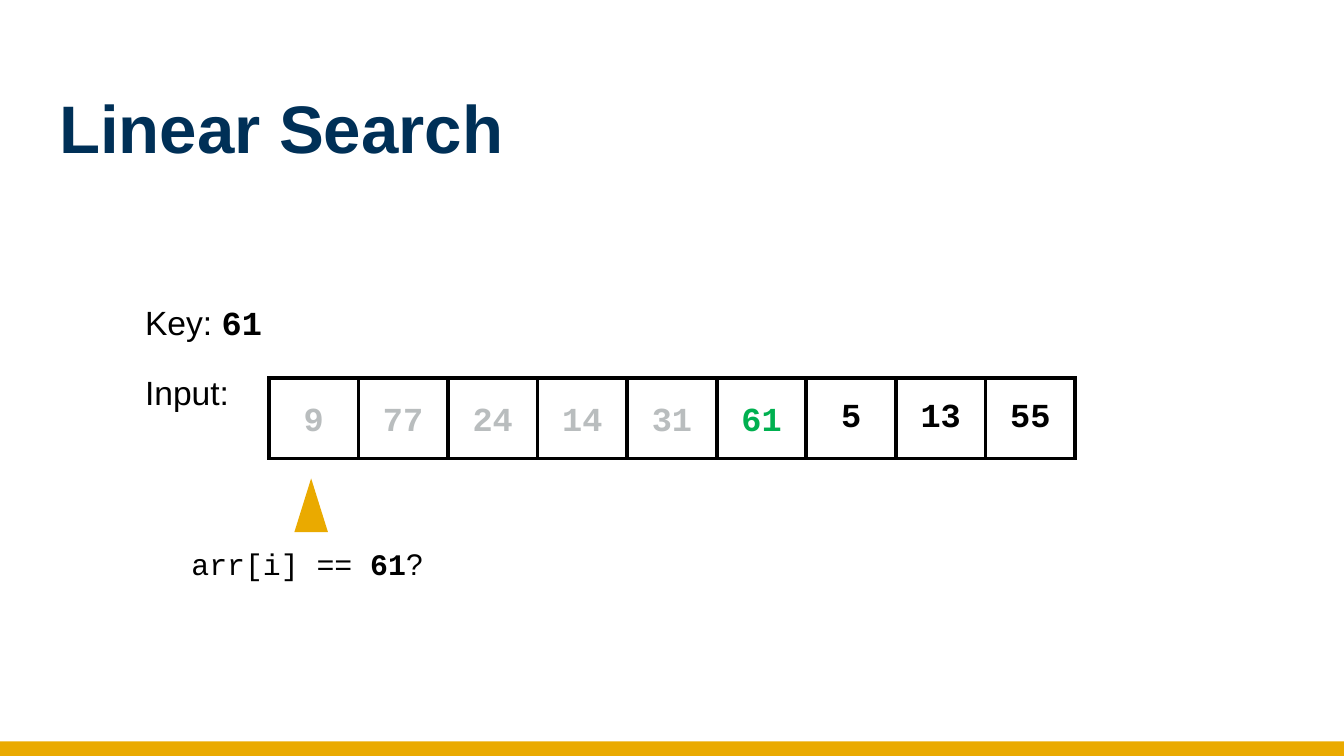
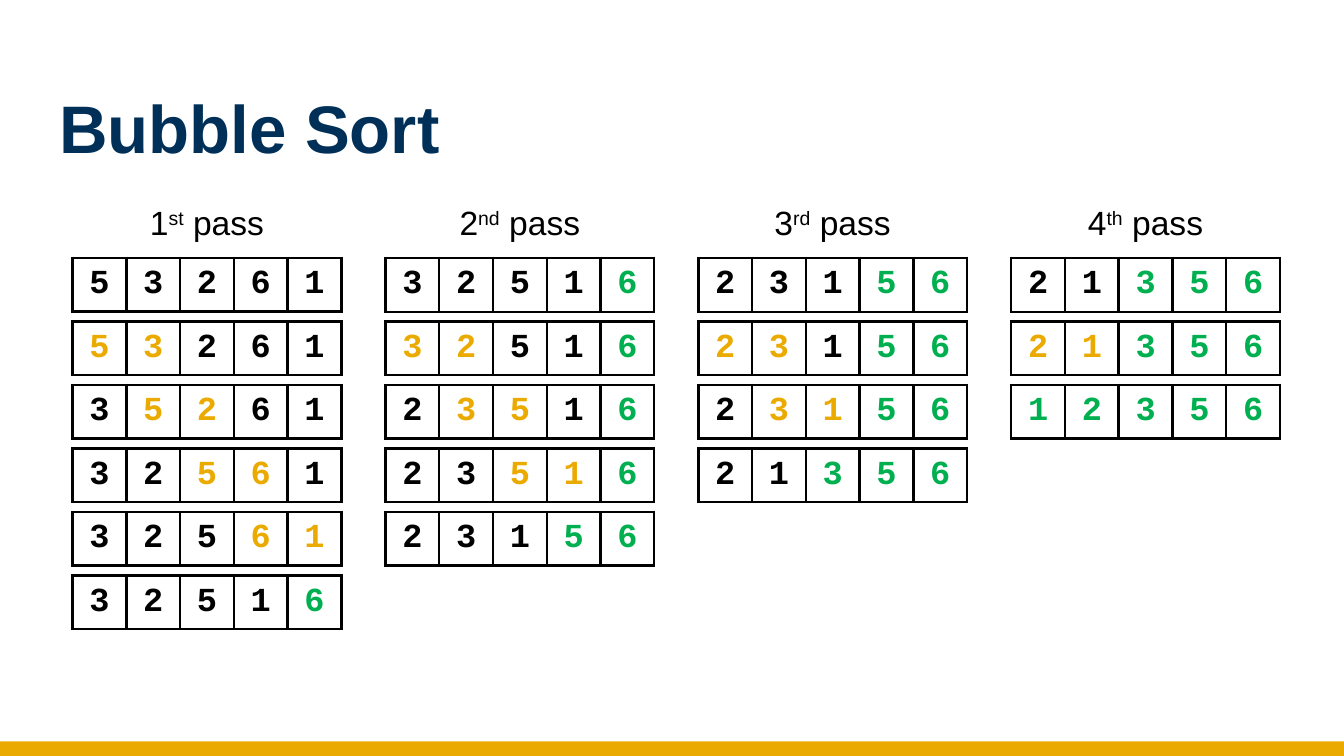
"""Build two slides on searching and sorting arrays."""
from lxml import etree
from pptx import Presentation
from pptx.dml.color import RGBColor
from pptx.enum import shapes, text
from pptx.oxml import ns
from pptx.util import Pt

NAVY, GOLD, GREEN = "003057", "EAAA00", "00B050"
BLACK, WHITE, GREY = "000000", "FFFFFF", "B9BDBE"
SANS, MONO = "Arial", "Courier New"
WIDTH, HEIGHT = 720, 405
MARKS = {".": BLACK, "a": GOLD, "s": GREEN}

NUMBERS = ["9", "77", "24", "14", "31", "61", "5", "13", "55"]
KEY = "61"
PASSES = [
    ("1", "st", [("53261", "....."), ("53261", "aa..."), ("35261", ".aa.."),
                 ("32561", "..aa."), ("32561", "...aa"), ("32516", "....s")]),
    ("2", "nd", [("32516", "....s"), ("32516", "aa..s"), ("23516", ".aa.s"),
                 ("23516", "..aas"), ("23156", "...ss")]),
    ("3", "rd", [("23156", "...ss"), ("23156", "aa.ss"), ("23156", ".aass"),
                 ("21356", "..sss")]),
    ("4", "th", [("21356", "..sss"), ("21356", "aasss"), ("12356", "sssss")]),
]


def rgb(value):
    """Turn a hex string into a colour."""
    return RGBColor.from_string(value)


def style(r, size=18, font=SANS, color=BLACK, bold=False, raised=False):
    """Format one run."""
    r.font.size, r.font.name, r.font.bold = Pt(size), font, bold
    r.font.color.rgb = rgb(color)
    if raised:
        r._r.get_or_add_rPr().set("baseline", "30000")


def add_text(s, box, runs, centred=False, side=7.2):
    """Add a one-line text box from (text, format) runs."""
    tf = s.shapes.add_textbox(*map(Pt, box)).text_frame
    tf.word_wrap = True
    tf.margin_left = tf.margin_right = Pt(side)
    p = tf.paragraphs[0]
    p.alignment = text.PP_ALIGN.CENTER if centred else text.PP_ALIGN.LEFT
    for words, look in runs:
        r = p.add_run()
        r.text = words
        style(r, **look)


def add_block(s, kind, box, color):
    """Add a plain filled shape."""
    sp = s.shapes.add_shape(kind, *map(Pt, box))
    sp.shadow.inherit = False
    sp.fill.solid()
    sp.fill.fore_color.rgb = rgb(color)
    sp.line.fill.background()
    return sp


def add_borders(cell, width):
    """Draw black lines on all four sides of a cell."""
    tcPr = cell._tc.get_or_add_tcPr()
    for i, side in enumerate(("lnL", "lnR", "lnT", "lnB")):
        ln = etree.Element(ns.qn(f"a:{side}"), w=str(Pt(width)))
        fill = etree.SubElement(ln, ns.qn("a:solidFill"))
        etree.SubElement(fill, ns.qn("a:srgbClr"), val=BLACK)
        tcPr.insert(i, ln)


def add_array(s, left, top, cell_w, cell_h, values, colors, border):
    """Draw an array as a table with one row."""
    n = len(values)
    box = (left, top, n * cell_w, cell_h)
    table = s.shapes.add_table(1, n, *map(Pt, box)).table
    table.first_row = table.horz_banding = False
    for i, (value, color) in enumerate(zip(values, colors)):
        table.columns[i].width = Pt(cell_w)
        cell = table.cell(0, i)
        cell.fill.solid()
        cell.fill.fore_color.rgb = rgb(WHITE)
        cell.vertical_anchor = text.MSO_ANCHOR.MIDDLE
        add_borders(cell, border)
        cell.text_frame.text = value
        p = cell.text_frame.paragraphs[0]
        p.alignment = text.PP_ALIGN.CENTER
        style(p.runs[0], font=MONO, color=color, bold=True)


def add_slide(prs, title):
    """Add a slide with the shared title style and bottom band."""
    s = prs.slides.add_slide(prs.slide_layouts[5])
    sp = s.shapes.title
    sp.left, sp.top, sp.width, sp.height = map(Pt, (24.5, 35.3, 671, 55.4))
    tf = sp.text_frame
    tf.text = title
    tf.auto_size = text.MSO_AUTO_SIZE.NONE
    tf.vertical_anchor = text.MSO_ANCHOR.TOP
    tf.margin_left = tf.margin_right = tf.margin_bottom = Pt(7.2)
    tf.margin_top = Pt(10.8)
    p = tf.paragraphs[0]
    p.alignment = text.PP_ALIGN.LEFT
    style(p.runs[0], size=36, color=NAVY, bold=True)
    band = (0, HEIGHT - 7.8, WIDTH, 7.8)
    add_block(s, shapes.MSO_SHAPE.RECTANGLE, band, GOLD)
    return s


def add_visited(s, left, top, cell_w, cell_h, value, color):
    """Cover one array cell with its value in a new colour."""
    w, h = 28.8, 21.6
    box = (left + (cell_w - w) / 2, top + (cell_h - h) / 2, w, h)
    sp = add_block(s, shapes.MSO_SHAPE.RECTANGLE, box, WHITE)
    tf = sp.text_frame
    tf.margin_left = tf.margin_right = tf.margin_top = tf.margin_bottom = 0
    tf.vertical_anchor = text.MSO_ANCHOR.MIDDLE
    tf.text = value
    p = tf.paragraphs[0]
    p.alignment = text.PP_ALIGN.CENTER
    style(p.runs[0], font=MONO, color=color, bold=True)


def add_pointer(s, left, top):
    """Add the comparison arrowhead and the test below it."""
    triangle = (left + 67.7, top, 18, 28.8)
    add_block(s, shapes.MSO_SHAPE.ISOSCELES_TRIANGLE, triangle, GOLD)
    add_text(s, (left, top + 32.4, 153.4, 26.6), [
        ("arr[i] == ", dict(size=16, font=MONO)),
        (KEY, dict(size=16, font=MONO, bold=True)),
        ("? ", dict(size=16)),
    ], centred=True)


def linear_search(prs):
    """Build the linear search slide."""
    s = add_slide(prs, "Linear Search")
    left, top, cell_w, cell_h = 144, 202.5, 48, 43.2
    add_array(s, left, top, cell_w, cell_h, NUMBERS,
              [BLACK] * len(NUMBERS), 2.21)
    add_text(s, (70.6, 195.8, 73.4, 29), [("Input:", {})])
    add_text(s, (70.6, 158.4, 118, 29),
             [("Key: ", {}), (KEY, dict(font=MONO, bold=True))])
    add_pointer(s, 90, 256.3)
    for i, value in enumerate(NUMBERS[:NUMBERS.index(KEY) + 1]):
        color = GREEN if value == KEY else GREY
        add_visited(s, left + i * cell_w, top, cell_w, cell_h, value, color)


def add_pass(s, left, top, number, suffix, rows):
    """Add one pass: a heading above its array states."""
    cell, pitch = 28.8, 34
    for i, (values, marks) in enumerate(rows):
        add_array(s, left, top + 33.8 + i * pitch, cell, cell, values,
                  [MARKS[m] for m in marks], 1.47)
    add_text(s, (left + 29, top, 86, 29), [
        (number, {}), (suffix, dict(raised=True)), (" pass", {}),
    ], centred=True, side=0)


def bubble_sort(prs):
    """Build the bubble sort slide."""
    s = add_slide(prs, "Bubble Sort")
    for i, sort_pass in enumerate(PASSES):
        add_pass(s, 38.9 + i * 167.6, 104.4, *sort_pass)


def main():
    """Build and save the presentation."""
    prs = Presentation()
    prs.slide_width, prs.slide_height = Pt(WIDTH), Pt(HEIGHT)
    linear_search(prs)
    bubble_sort(prs)
    prs.save("out.pptx")


if __name__ == "__main__":
    main()
